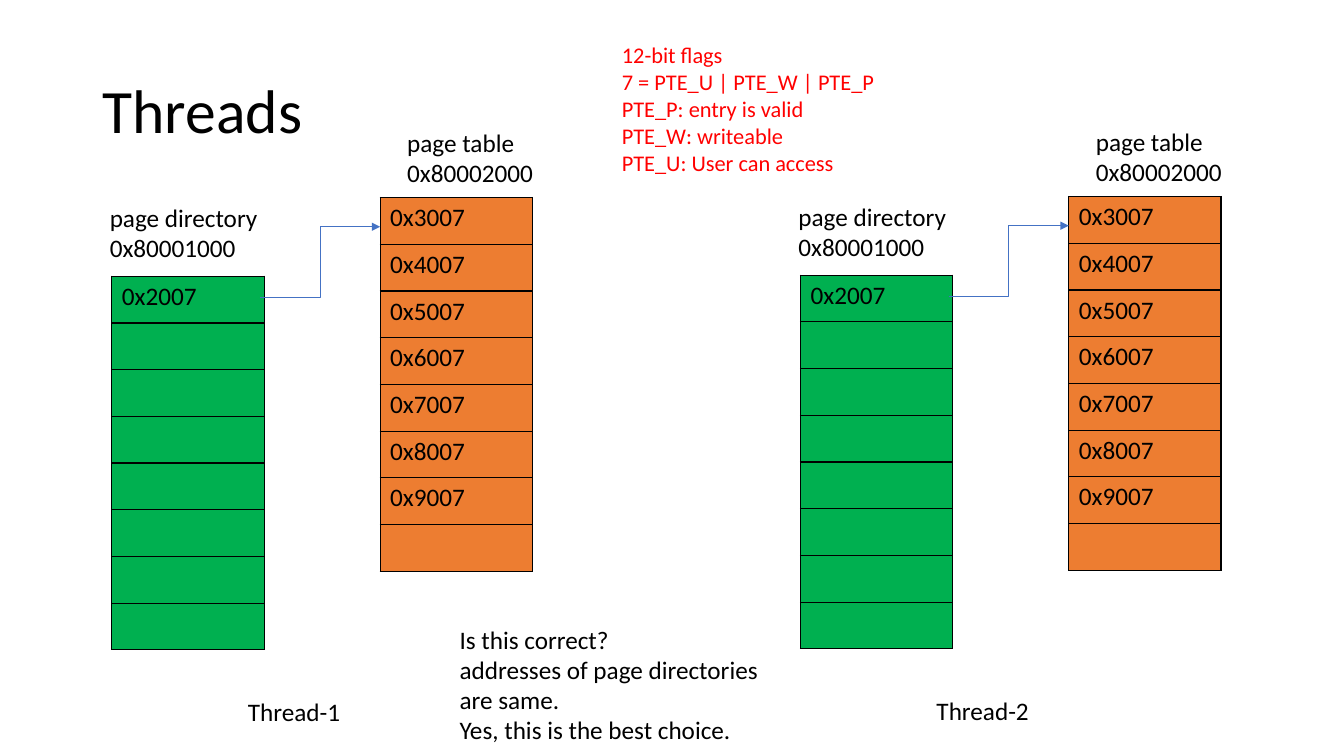
from lxml import etree
from pptx import Presentation
from pptx import util as u
from pptx.dml.color import RGBColor
from pptx.enum import shapes, text
from pptx.oxml import ns

PX = u.Inches(1) // 100
THEME = {
    "font": "Calibri",
    "title": 44, "body": 18, "flags": 16,
    "ink": "000000", "alert": "FF0000", "arrow": "4472C4",
    "directory": "00B050", "table": "ED7D31",
}

presentation = Presentation()
presentation.slide_width = 1333 * PX
presentation.slide_height = 750 * PX
slide = presentation.slides.add_slide(presentation.slide_layouts[6])


def write(frame, content, size="body", color="ink", spacing=1.0, anchor=text.MSO_ANCHOR.TOP):
    frame.word_wrap = True
    frame.vertical_anchor = anchor
    frame.text = content
    for paragraph in frame.paragraphs:
        paragraph.line_spacing = spacing
        paragraph.font.name = THEME["font"]
        paragraph.font.size = u.Pt(THEME[size])
        paragraph.font.color.rgb = RGBColor.from_string(THEME[color])


def add_entries(left, top, entries, color):
    table = slide.shapes.add_table(8, 1, left * PX, top * PX, 151 * PX, 371 * PX).table
    table.first_row = False
    table.horz_banding = False
    for row in range(8):
        cell = table.cell(row, 0)
        write(cell.text_frame, entries[row] if row < len(entries) else "")
        properties = cell._tc.get_or_add_tcPr()
        for side in ("a:lnL", "a:lnR", "a:lnT", "a:lnB"):
            border = etree.SubElement(properties, ns.qn(side), w=str(u.Pt(1)))
            fill = etree.SubElement(border, ns.qn("a:solidFill"))
            etree.SubElement(fill, ns.qn("a:srgbClr"), val=THEME["ink"])
        cell.fill.solid()
        cell.fill.fore_color.rgb = RGBColor.from_string(THEME[color])


labels = [
    (92, 40, 1150, 145, "Threads",
     {"size": "title", "spacing": 0.9, "anchor": text.MSO_ANCHOR.MIDDLE}),
    (446, 614, 326, 131,
     "Is this correct?\naddresses of page directories are same.\nYes, this is the best choice.", {}),
    (607, 36, 304, 145,
     "12-bit flags\n7 = PTE_U | PTE_W | PTE_P\nPTE_P: entry is valid\n"
     "PTE_W: writeable\nPTE_U: User can access",
     {"size": "flags", "color": "alert"}),
]

page_entries = [f"0x{page}007" for page in range(3, 10)]
for thread, (x, y) in enumerate([(0, 0), (683, -1)], start=1):
    add_entries(x + 111, y + 274, ["0x2007"], "directory")
    add_entries(x + 377, y + 196, page_entries, "table")
    labels += [
        (x + 99, y + 196, 232, 71, "page directory\n0x80001000", {}),
        (x + 394, y + 121, 232, 71, "page table\n0x80002000", {}),
        (x + 236, y + 686, 246, 40, f"Thread-{thread}", {}),
    ]
    arrow = slide.shapes.add_connector(
        shapes.MSO_CONNECTOR.ELBOW,
        (x + 258) * PX, (y + 295) * PX, (x + 377) * PX, (y + 225) * PX)
    arrow.line.width = u.Pt(0.5)
    arrow.line.color.rgb = RGBColor.from_string(THEME["arrow"])
    etree.SubElement(arrow.line._get_or_add_ln(), ns.qn("a:tailEnd"), type="triangle")
    etree.SubElement(arrow._element.spPr, ns.qn("a:effectLst"))

for left, top, width, height, content, style in labels:
    box = slide.shapes.add_textbox(left * PX, top * PX, width * PX, height * PX)
    write(box.text_frame, content, **style)

presentation.save("out.pptx")
